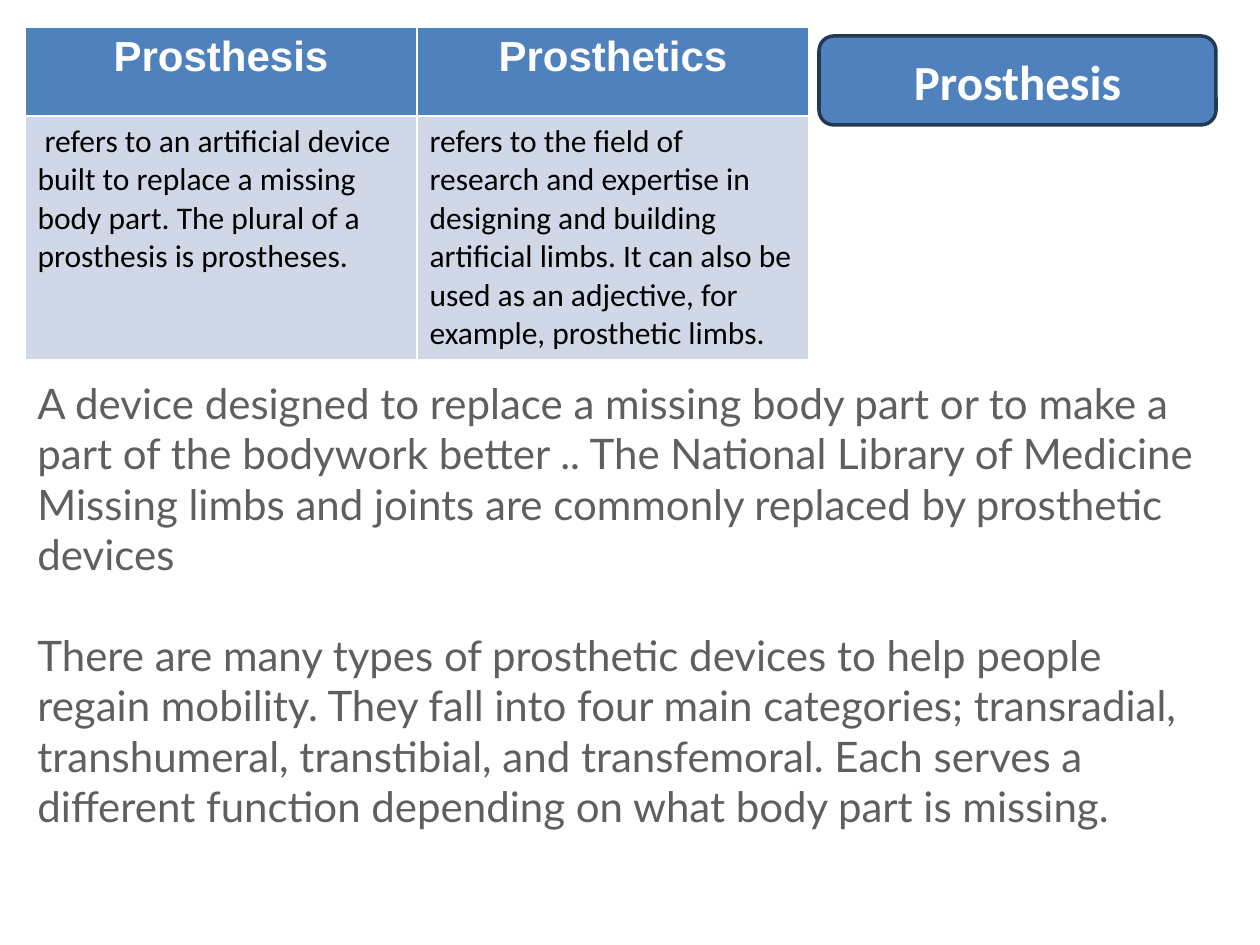
from pptx import Presentation
from pptx.dml.color import RGBColor
from pptx.enum.shapes import MSO_SHAPE as Shape
from pptx.enum.text import MSO_ANCHOR as Anchor, MSO_AUTO_SIZE as Fit, PP_ALIGN as Align
from pptx.util import Emu, Pt

SCALE = 914400 / 126
BLUE, PALE, NAVY = "4F81BD", "D0D8E8", "233953"
WHITE, BLACK, GREY = "FFFFFF", "000000", "5F5F5F"

TITLE = dict(name="Calibri", size=Pt(28), bold=True)
HEAD = dict(name="Arial", size=Pt(24), bold=True)
CELL = dict(name="Calibri", size=Pt(18), bold=False)
BODY = dict(name="Lato", size=Pt(24))

TERMS = [
    ("Prosthesis",
     " refers to an artificial device built to replace a missing body part. "
     "The plural of a prosthesis is prostheses."),
    ("Prosthetics",
     "refers to the field of research and expertise in designing and building "
     "artificial limbs. It can also be used as an adjective, for example, "
     "prosthetic limbs."),
]
# Each entry: space before in points, text
NOTES = [
    (0, "A device designed to replace a missing body part or to make a part of "
        "the bodywork better .. The National Library of Medicine"),
    (0, "Missing limbs and joints are commonly replaced by prosthetic devices"),
    (29, "There are many types of prosthetic devices to help people regain "
         "mobility. They fall into four main categories; transradial, "
         "transhumeral, transtibial, and transfemoral. Each serves a different "
         "function depending on what body part is missing."),
]


def px(n):
    return Emu(round(n * SCALE))


def paint(target, color):
    """Give a fill or line format a solid colour."""
    target.solid()
    target.fore_color.rgb = RGBColor.from_string(color)


def write(para, text, style, color, align=Align.LEFT):
    para.alignment = align
    run = para.add_run()
    run.text = text
    for key, value in style.items():
        setattr(run.font, key, value)
    run.font.color.rgb = RGBColor.from_string(color)


def add_title(slide, box, text):
    shape = slide.shapes.add_shape(Shape.ROUNDED_RECTANGLE, *map(px, box))
    shape.shadow.inherit = False
    paint(shape.fill, BLUE)
    paint(shape.line.fill, NAVY)
    shape.line.width = Pt(2)
    frame = shape.text_frame
    frame.vertical_anchor = Anchor.MIDDLE
    write(frame.paragraphs[0], text, TITLE, WHITE, Align.CENTER)


def add_terms(slide, box, terms, head=89):
    """Table with one column per term: its name above its meaning."""
    wide, high = box[2:]
    table = slide.shapes.add_table(2, len(terms), *map(px, box)).table
    for row, size in zip(table.rows, (head, high - head)):
        row.height = px(size)
    looks = [(HEAD, WHITE, Align.CENTER, BLUE), (CELL, BLACK, Align.LEFT, PALE)]
    for col, term in enumerate(terms):
        table.columns[col].width = px(wide / len(terms))
        for row, (style, color, align, fill) in enumerate(looks):
            cell = table.cell(row, col)
            paint(cell.fill, fill)
            write(cell.text_frame.paragraphs[0], term[row], style, color, align)


def add_notes(slide, box, notes):
    frame = slide.shapes.add_textbox(*map(px, box)).text_frame
    frame.word_wrap = True
    frame.auto_size = Fit.SHAPE_TO_FIT_TEXT
    for i, (gap, text) in enumerate(notes):
        para = frame.add_paragraph() if i else frame.paragraphs[0]
        if gap:
            para.space_before = Pt(gap)
        write(para, text, BODY, GREY)


def main():
    deck = Presentation()
    deck.slide_width, deck.slide_height = px(1260), px(945)
    slide = deck.slides.add_slide(deck.slide_layouts[6])
    add_title(slide, (819, 36, 397, 89), "Prosthesis")
    add_terms(slide, (25, 27, 784, 329), TERMS)
    add_notes(slide, (25, 371, 1191, 471), NOTES)
    deck.save("out.pptx")


if __name__ == "__main__":
    main()
